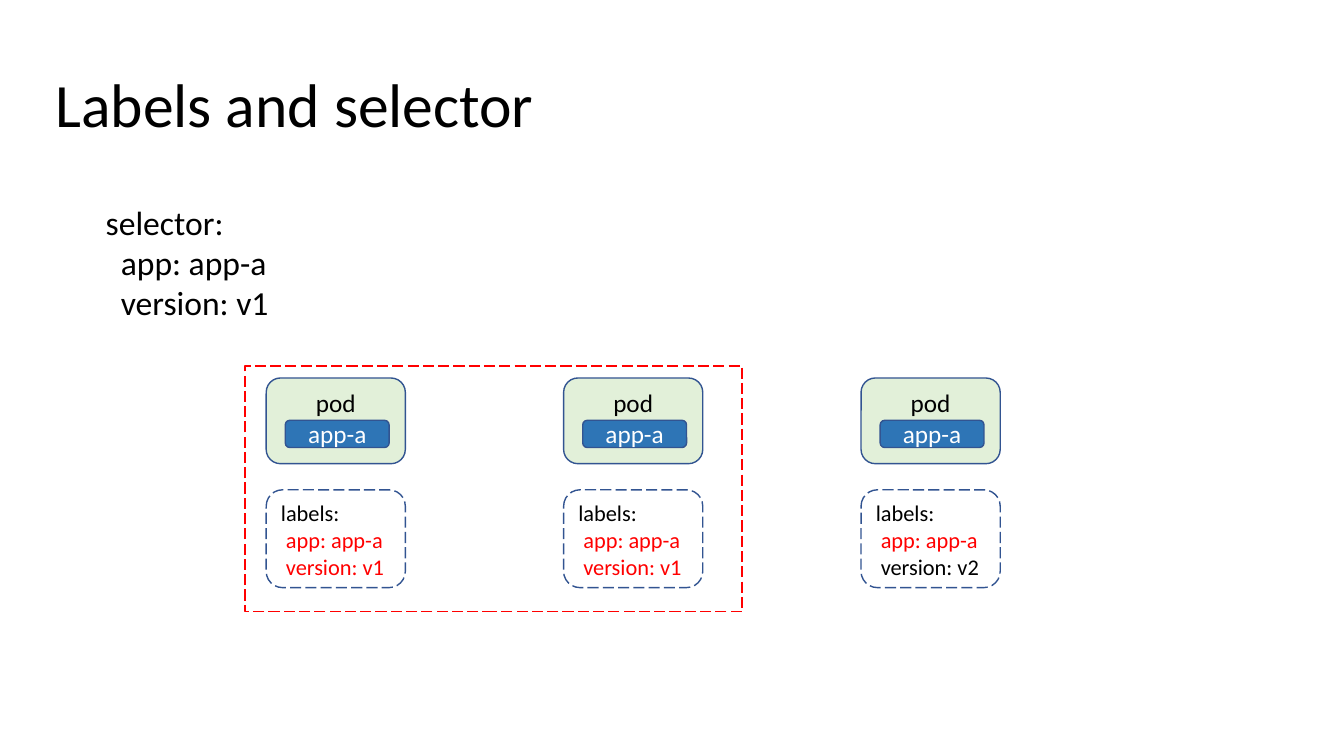
from pptx import Presentation
from pptx.dml.color import RGBColor
from pptx.enum import dml, shapes, text
from pptx.util import Inches, Pt

TITLE = "Labels and selector"
SELECTOR = ["selector:", "app: app-a", "version: v1"]
APP = "app-a"
POD_VERSIONS = ["v1", "v1", "v2"]
SELECTED_VERSION = "v1"

BLACK, WHITE, RED = "000000", "FFFFFF", "FF0000"
OUTLINE, POD_GREEN, APP_BLUE = "325491", "E2F0D9", "2E75B6"

POD_LEFT, POD_PITCH, POD_WIDTH = 2.64, 2.95, 1.38
ROUNDED = shapes.MSO_SHAPE.ROUNDED_RECTANGLE
TOP, MIDDLE = text.MSO_ANCHOR.TOP, text.MSO_ANCHOR.MIDDLE
LEFT, CENTER = text.PP_ALIGN.LEFT, text.PP_ALIGN.CENTER


def rgb(color):
    return RGBColor.from_string(color)


def box(left, top, width, height):
    return [Inches(n) for n in (left, top, width, height)]


def write(shape, lines, size, align=LEFT, anchor=TOP, indent=0):
    """Fill a shape with (text, color) lines, indenting all but the first."""
    frame = shape.text_frame
    frame.word_wrap = True
    frame.vertical_anchor = anchor
    for i, (words, color) in enumerate(lines):
        paragraph = frame.add_paragraph() if i else frame.paragraphs[0]
        paragraph.alignment = align
        if i:
            paragraph._p.get_or_add_pPr().set("marL", str(Inches(indent)))
        run = paragraph.add_run()
        run.text = words
        for name, value in {"name": "Calibri", "size": Pt(size)}.items():
            setattr(run.font, name, value)
        run.font.color.rgb = rgb(color)


def add_box(kind, place, outline=OUTLINE, fill=None):
    """Add a filled box, or a dashed hollow one when no fill is given."""
    shape = slide.shapes.add_shape(kind, *box(*place))
    shape.shadow.inherit = False
    shape.line.color.rgb = rgb(outline)
    shape.line.width = Pt(1)
    if fill:
        shape.fill.solid()
        shape.fill.fore_color.rgb = rgb(fill)
    else:
        shape.fill.background()
        shape.line.dash_style = dml.MSO_LINE.LONG_DASH
    return shape


deck = Presentation()
deck.slide_width, deck.slide_height = Inches(13.33), Inches(7.5)
slide = deck.slides.add_slide(deck.slide_layouts[5])

title = slide.shapes.title
title.left, title.top, title.width, title.height = box(0.45, 0.65, 12.42, 0.84)
write(title, [(TITLE, BLACK)], 44, anchor=MIDDLE)
title.text_frame.paragraphs[0].line_spacing = 0.9

for i, version in enumerate(POD_VERSIONS):
    left = POD_LEFT + i * POD_PITCH
    pod = add_box(ROUNDED, (left, 3.75, POD_WIDTH, 0.85), fill=POD_GREEN)
    write(pod, [("pod", BLACK)], 18, CENTER)
    app = add_box(ROUNDED, (left + 0.19, 4.17, 1.03, 0.27), fill=APP_BLUE)
    write(app, [(APP, WHITE)], 18, CENTER, MIDDLE)

    labels = add_box(ROUNDED, (left, 4.86, POD_WIDTH, 0.97))
    version_color = RED if version == SELECTED_VERSION else BLACK
    write(labels, [("labels:", BLACK), (f"app: {APP}", RED),
                   (f"version: {version}", version_color)], 16, indent=0.05)

selector = slide.shapes.add_textbox(*box(0.95, 1.95, 2.4, 1.31))
write(selector, [(line, BLACK) for line in SELECTOR], 24, indent=0.15)

add_box(shapes.MSO_SHAPE.RECTANGLE, (2.43, 3.63, 4.93, 2.44), outline=RED)

deck.save("out.pptx")
